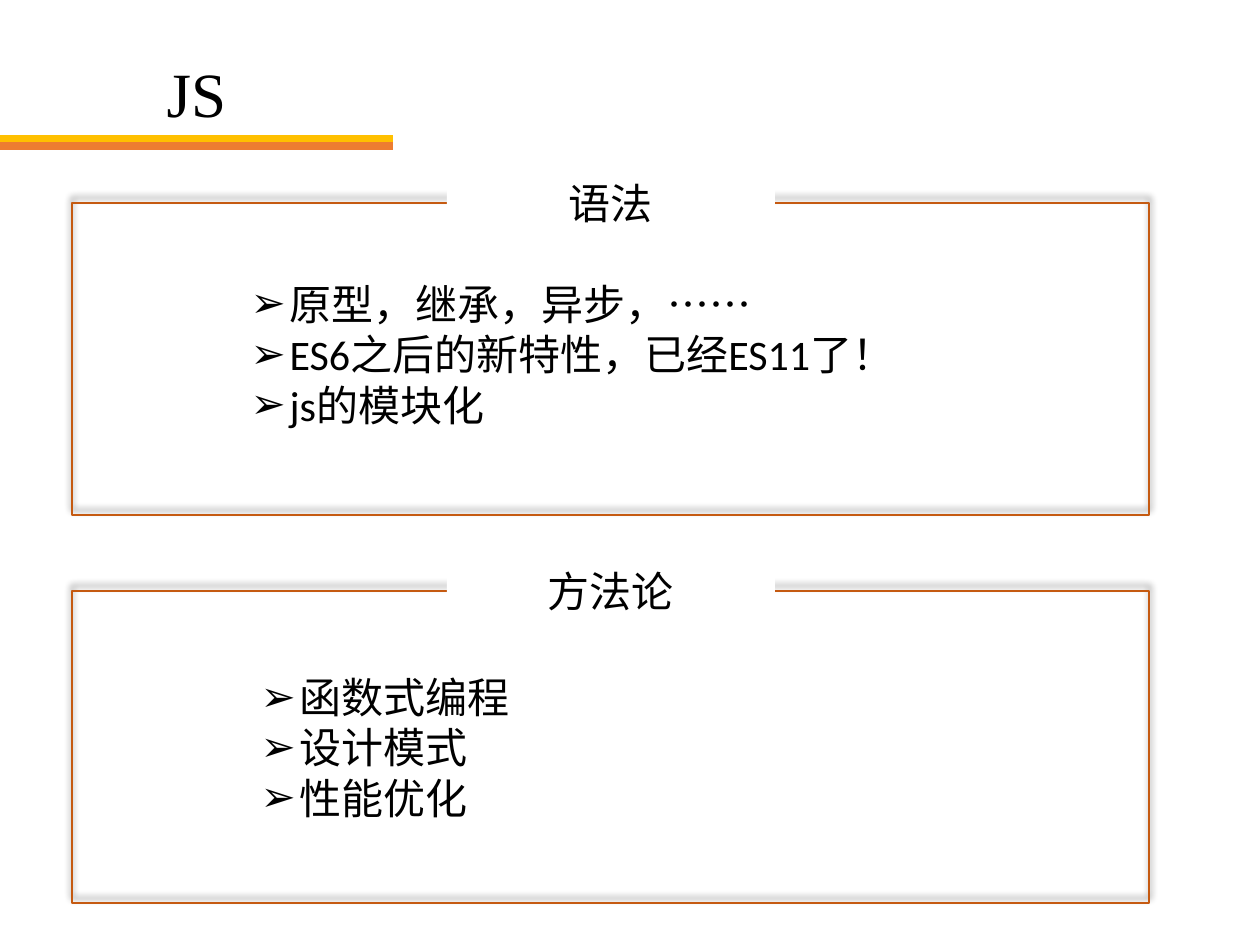
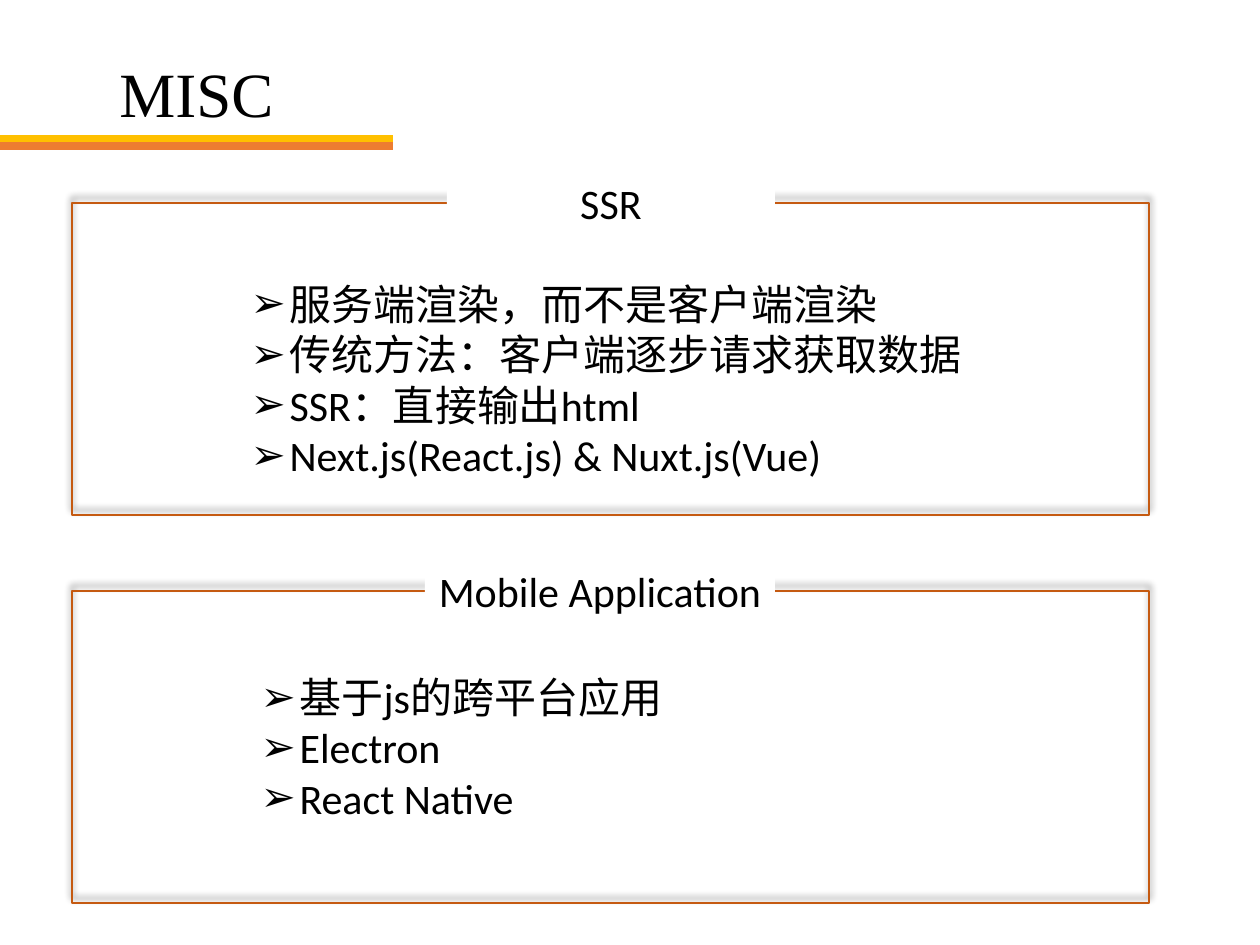
from dataclasses import dataclass

from lxml.etree import SubElement
from pptx import Presentation
from pptx.dml.color import RGBColor
from pptx.enum.shapes import MSO_CONNECTOR, MSO_SHAPE
from pptx.enum.text import MSO_ANCHOR, MSO_AUTO_SIZE, PP_ALIGN
from pptx.oxml.ns import qn
from pptx.util import Emu, Pt


@dataclass(frozen=True)
class Theme:
    text: RGBColor = RGBColor(0, 0, 0)
    paper: RGBColor = RGBColor(0xFF, 0xFF, 0xFF)
    gold: RGBColor = RGBColor(0xFF, 0xC0, 0x00)
    orange: RGBColor = RGBColor(0xED, 0x7D, 0x31)
    frame: RGBColor = RGBColor(0xC5, 0x5A, 0x11)
    title_font: str = "Times New Roman"
    body_font: str = "Calibri"
    title_size: Pt = Pt(36)
    body_size: Pt = Pt(24)
    rule_width: Pt = Pt(4.5)
    frame_width: Pt = Pt(1.5)


THEME = Theme()
EMU_PER_PX = 914400 / 126
TWO_CONTENT_LAYOUT = 3

HEADER_WIDTH = 393
FRAME_LEFT, FRAME_WIDTH, FRAME_HEIGHT = 72, 1077, 312
FRAME_TOPS = (203, 591)
LABEL_RIGHT, LABEL_HEIGHT = 775, 63
LIST_BOXES = ((238, 272, 785), (248, 665, 764))  # left, top, width
LINE_HEIGHT, LIST_PADDING, BULLET_INDENT = 51, 13, 39

# Each slide: title, then two sections of (label, label width, points)
SLIDES = (
    ("JS", (
        ("语法", 328, ("原型，继承，异步，……", "ES6之后的新特性，已经ES11了！", "js的模块化")),
        ("方法论", 328, ("函数式编程", "设计模式", "性能优化")),
    )),
    ("MISC", (
        ("SSR", 328, (
            "服务端渲染，而不是客户端渲染",
            "传统方法：客户端逐步请求获取数据",
            "SSR：直接输出html",
            "Next.js(React.js) & Nuxt.js(Vue)",
        )),
        ("Mobile Application", 350, ("基于js的跨平台应用", "Electron", "React Native")),
    )),
)


def px(length):
    return Emu(round(length * EMU_PER_PX))


def place(shape, left, top, width, height):
    shape.left, shape.top = px(left), px(top)
    shape.width, shape.height = px(width), px(height)


def style_font(paragraph, name, size):
    paragraph.font.name = name
    paragraph.font.size = size
    paragraph.font.color.rgb = THEME.text


def add_rule(slide, y, color):
    rule = slide.shapes.add_connector(
        MSO_CONNECTOR.STRAIGHT, px(0), px(y), px(HEADER_WIDTH), px(y))
    rule.line.color.rgb = color
    rule.line.width = THEME.rule_width
    SubElement(rule.element.spPr, qn("a:effectLst"))


def add_header(slide, title):
    add_rule(slide, 139, THEME.gold)
    add_rule(slide, 146, THEME.orange)
    heading = slide.shapes.title
    place(heading, 0, 53, HEADER_WIDTH, 89)
    heading.text_frame.text = title
    heading.text_frame.vertical_anchor = MSO_ANCHOR.MIDDLE
    paragraph = heading.text_frame.paragraphs[0]
    paragraph.alignment = PP_ALIGN.CENTER
    paragraph.line_spacing = 0.9
    style_font(paragraph, THEME.title_font, THEME.title_size)


def add_rectangle(slide, left, top, width, height):
    rectangle = slide.shapes.add_shape(
        MSO_SHAPE.RECTANGLE, px(left), px(top), px(width), px(height))
    rectangle.shadow.inherit = False
    return rectangle


def cast_shadow_upward(shape):
    effects = shape.element.spPr.find(qn("a:effectLst"))
    shadow = SubElement(effects, qn("a:outerShdw"), blurRad=str(Pt(4)),
                        dist=str(Pt(3)), dir="16200000", algn="b", rotWithShape="0")
    color = SubElement(shadow, qn("a:srgbClr"), val=str(THEME.text))
    SubElement(color, qn("a:alpha"), val="40000")


def add_frame(slide, top):
    frame = add_rectangle(slide, FRAME_LEFT, top, FRAME_WIDTH, FRAME_HEIGHT)
    frame.fill.background()
    frame.line.color.rgb = THEME.frame
    frame.line.width = THEME.frame_width
    cast_shadow_upward(frame)


def add_label(slide, text, width, frame_top):
    """Place a label over the top edge of a frame, hiding the edge behind it."""
    label = add_rectangle(slide, LABEL_RIGHT - width, frame_top - LABEL_HEIGHT // 2 - 1,
                          width, LABEL_HEIGHT)
    label.fill.solid()
    label.fill.fore_color.rgb = THEME.paper
    label.line.fill.background()
    label.text_frame.word_wrap = False
    label.text_frame.text = text
    paragraph = label.text_frame.paragraphs[0]
    paragraph.alignment = PP_ALIGN.CENTER
    style_font(paragraph, THEME.body_font, THEME.body_size)


def add_arrow_bullet(paragraph):
    properties = paragraph._p.get_or_add_pPr()
    properties.set("marL", str(px(BULLET_INDENT)))
    properties.set("indent", str(-px(BULLET_INDENT)))
    SubElement(properties, qn("a:buChar"), char="➢")


def fill_list(body, points, left, top, width):
    place(body, left, top, width, LINE_HEIGHT * len(points) + LIST_PADDING)
    frame = body.text_frame
    frame.auto_size = MSO_AUTO_SIZE.NONE
    frame.text = "\n".join(points)
    for paragraph in frame.paragraphs:
        add_arrow_bullet(paragraph)
        paragraph.space_before = Pt(0)
        style_font(paragraph, THEME.body_font, THEME.body_size)


def main():
    presentation = Presentation()
    presentation.slide_width, presentation.slide_height = px(1260), px(945)
    layout = presentation.slide_layouts[TWO_CONTENT_LAYOUT]
    for title, sections in SLIDES:
        slide = presentation.slides.add_slide(layout)
        add_header(slide, title)
        bodies = list(slide.placeholders)[1:]
        for section, body, list_box, frame_top in zip(sections, bodies, LIST_BOXES, FRAME_TOPS):
            label, label_width, points = section
            fill_list(body, points, *list_box)
            add_frame(slide, frame_top)
            add_label(slide, label, label_width, frame_top)
    presentation.save("out.pptx")


if __name__ == "__main__":
    main()
